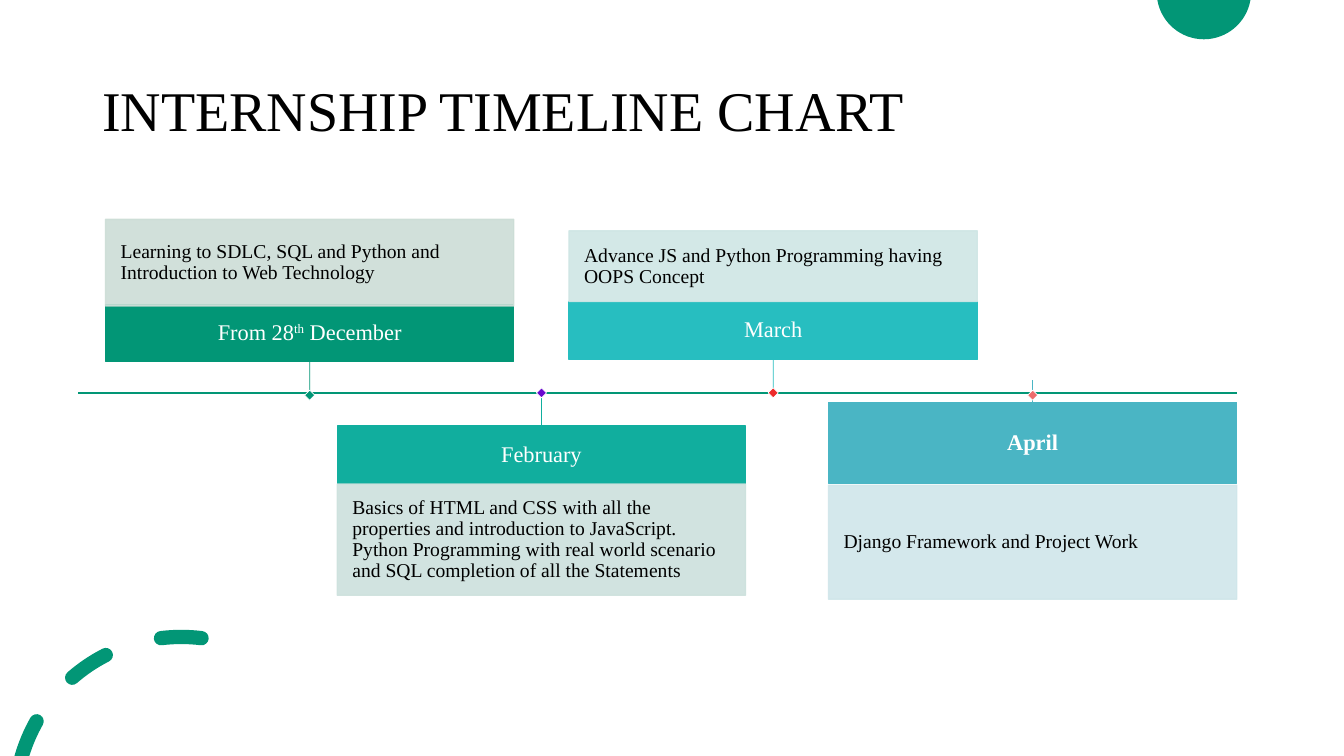
"""Build the internship timeline slide."""
import math

import lxml.etree
import pptx
import pptx.dml.color
import pptx.enum.shapes
import pptx.enum.text
import pptx.oxml.ns
import pptx.util

Cm, Pt = pptx.util.Cm, pptx.util.Pt
RGB = pptx.dml.color.RGBColor
SHAPE = pptx.enum.shapes.MSO_SHAPE
STRAIGHT = pptx.enum.shapes.MSO_CONNECTOR.STRAIGHT
MIDDLE = pptx.enum.text.MSO_ANCHOR.MIDDLE
ALIGN = pptx.enum.text.PP_ALIGN
qn = pptx.oxml.ns.qn

FONT = "Times New Roman"
WHITE, BLACK = RGB(0xFF, 0xFF, 0xFF), RGB(0, 0, 0)
GREEN = RGB(0x02, 0x96, 0x76)
TEAL = RGB(0x11, 0xAE, 0x9E)
TURQUOISE = RGB(0x27, 0xBE, 0xC0)
BLUE = RGB(0x4A, 0xB5, 0xC4)
PALE_GREEN = RGB(0xCC, 0xDD, 0xD6)
PALE_TEAL = RGB(0xCD, 0xE1, 0xDD)
PALE_TURQUOISE = RGB(0xCF, 0xE6, 0xE5)
PALE_BLUE = RGB(0xD0, 0xE6, 0xEA)
PURPLE = RGB(0x69, 0x0A, 0xCF)
RED = RGB(0xED, 0x2B, 0x2B)
SALMON = RGB(0xED, 0x6C, 0x6C)

CARD_W, CARD_X, STEP = 10.29, 2.66, 5.84
AXIS_Y, DOT = 9.9, 0.18

prs = pptx.Presentation()
prs.slide_width, prs.slide_height = Cm(33.87), Cm(19.05)
s = prs.slides.add_slide(prs.slide_layouts[6])


def arc(cx, cy, radius, first, last):
    """Start, two control points and end of an arc, clockwise from the top."""
    a, b = math.radians(first), math.radians(last)
    k = 4 / 3 * math.tan((b - a) / 4)
    offsets = [(math.sin(a), -math.cos(a)),
               (math.sin(a) + k * math.cos(a), -math.cos(a) + k * math.sin(a)),
               (math.sin(b) - k * math.cos(b), -math.cos(b) - k * math.sin(b)),
               (math.sin(b), -math.cos(b))]
    return [(Cm(cx + radius * x), Cm(cy + radius * y)) for x, y in offsets]


def write(sp, runs, size, color, align, inset=None, bold=None):
    """Put one paragraph of (text, baseline) runs into a shape."""
    tf = sp.text_frame
    tf.word_wrap = True
    tf.vertical_anchor = MIDDLE
    if inset is not None:
        tf.margin_left = tf.margin_right = Cm(inset)
        tf.margin_top = tf.margin_bottom = Cm(inset)
    p = tf.paragraphs[0]
    p.alignment = align
    p.line_spacing = 0.9
    for text, baseline in runs:
        r = p.add_run()
        r.text = text
        r.font.name, r.font.size, r.font.bold = FONT, Pt(size), bold
        r.font.color.rgb = color
        if baseline:
            r.font._element.set("baseline", str(baseline * 1000))


disc = [arc(30.34, -0.2, 1.19, a, b) for a, b in [(99.7, 180), (180, 260.3)]]

RING_X, RING_Y, RING_R, HALF = 4.57, 20.24, 4.19, 0.18
dashes = [[arc(RING_X, RING_Y, RING_R + HALF, -74.2, -60.5)],
          [arc(RING_X, RING_Y, RING_R + HALF, -41, -27)],
          [arc(RING_X, RING_Y, RING_R + HALF, -7, 7)]]
for dash, first, last in zip(dashes, (-72.8, -41, -7), (-60.5, -27, 7)):
    caps = []
    for end, turn in [(last, 0), (first, 180)]:
        t = math.radians(end)
        cx, cy = RING_X + RING_R * math.sin(t), RING_Y - RING_R * math.cos(t)
        caps.append([arc(cx, cy, HALF, end + turn + a, end + turn + a + 90) for a in (0, 90)])
    dash += caps[0] + [arc(RING_X, RING_Y, RING_R - HALF, last, first)]
    if dash is not dashes[0]:
        dash += caps[1]

for outlines in [[disc], dashes]:
    fb = s.shapes.build_freeform(*outlines[0][0][0])
    for i, curves in enumerate(outlines):
        if i:
            fb.move_to(*curves[0][0])
        for curve in curves:
            fb.add_line_segments(curve[1:], close=curve is curves[-1])
    sp = fb.convert_to_shape()
    sp.shadow.inherit = False
    sp.fill.solid()
    sp.fill.fore_color.rgb = GREEN
    sp.line.fill.background()
    for outline in sp._element.spPr.iter(qn("a:path")):
        group = []
        for step in list(outline):
            if step.tag != qn("a:lnTo"):
                group = []
                continue
            group.append(step)
            if len(group) == 3:
                bezier = lxml.etree.Element(qn("a:cubicBezTo"))
                group[0].addprevious(bezier)
                for part in group:
                    bezier.append(part[0])
                    outline.remove(part)
                group = []

title = s.shapes.add_textbox(Cm(2.33), Cm(1.02), Cm(29.21), Cm(3.68))
write(title, [("INTERNSHIP TIMELINE CHART", 0)], 40, BLACK, ALIGN.LEFT)

axis = s.shapes.add_connector(STRAIGHT, Cm(1.97), Cm(AXIS_Y), Cm(31.17), Cm(AXIS_Y))
axis.line.color.rgb, axis.line.width = GREEN, Pt(1)
lines = [axis]

# left, header (top, height), body (top, height), header colour, body colour,
# joined side of header, dot centre, dot colour, bold, header runs, body text
cards = [
    (CARD_X, (7.68, 1.43), (5.53, 2.18), GREEN, PALE_GREEN, 2, 9.96, GREEN, False,
     [("From 28", 0), ("th", 30), (" December", 0)],
     "Learning to SDLC, SQL and Python and Introduction to Web Technology"),
    (CARD_X + STEP, (10.74, 1.45), (12.2, 2.8), TEAL, PALE_TEAL, 0, AXIS_Y, PURPLE, False,
     [("February", 0)],
     "Basics of HTML and CSS with all the properties and introduction to JavaScript. "
     "Python Programming with real world scenario and SQL completion of all the Statements"),
    (CARD_X + 2 * STEP, (7.61, 1.45), (5.82, 1.78), TURQUOISE, PALE_TURQUOISE, 2, AXIS_Y,
     RED, False, [("March", 0)],
     "Advance JS and Python Programming having OOPS Concept"),
    (20.88, (10.14, 2.04), (12.23, 2.87), BLUE, PALE_BLUE, None, 9.96, SALMON, True,
     [("April", 0)], "Django Framework and Project Work"),
]

for x, head, body, color, pale, side, dot_y, dot_color, bold, heading, text in cards:
    boxes = []
    for (top, height), fill in [(head, color), (body, pale)]:
        sp = s.shapes.add_shape(SHAPE.RECTANGLE, Cm(x), Cm(top), Cm(CARD_W), Cm(height))
        sp.shadow.inherit = False
        sp.fill.solid()
        sp.fill.fore_color.rgb = sp.line.color.rgb = fill
        sp.line.width = Pt(1)
        boxes.append(sp)
    write(boxes[0], heading, 16, WHITE, ALIGN.CENTER, 0.23, bold)
    write(boxes[1], [(text, 0)], 14, BLACK, ALIGN.LEFT, 0.38)
    for clr in boxes[1]._element.spPr.iter(qn("a:srgbClr")):
        lxml.etree.SubElement(clr, qn("a:alpha")).set("val", "90000")

    mid = x + CARD_W / 2
    start, end = (10.77, 9.58) if side is None else (head[0], dot_y)
    stem = s.shapes.add_connector(STRAIGHT, Cm(mid), Cm(start), Cm(mid), Cm(end))
    if side is not None:
        stem.begin_connect(boxes[0], side)
    stem.line.color.rgb, stem.line.width = color, Pt(0.5)
    lines.append(stem)

    dot = s.shapes.add_shape(SHAPE.RECTANGLE, Cm(mid - DOT / 2), Cm(dot_y - DOT / 2),
                             Cm(DOT), Cm(DOT))
    dot.rotation = 45
    dot.shadow.inherit = False
    dot.fill.solid()
    dot.fill.fore_color.rgb = dot_color
    dot.line.color.rgb, dot.line.width = WHITE, Pt(0.5)

for line in lines:
    lxml.etree.SubElement(line._element.spPr, qn("a:effectLst"))

prs.save("out.pptx")
